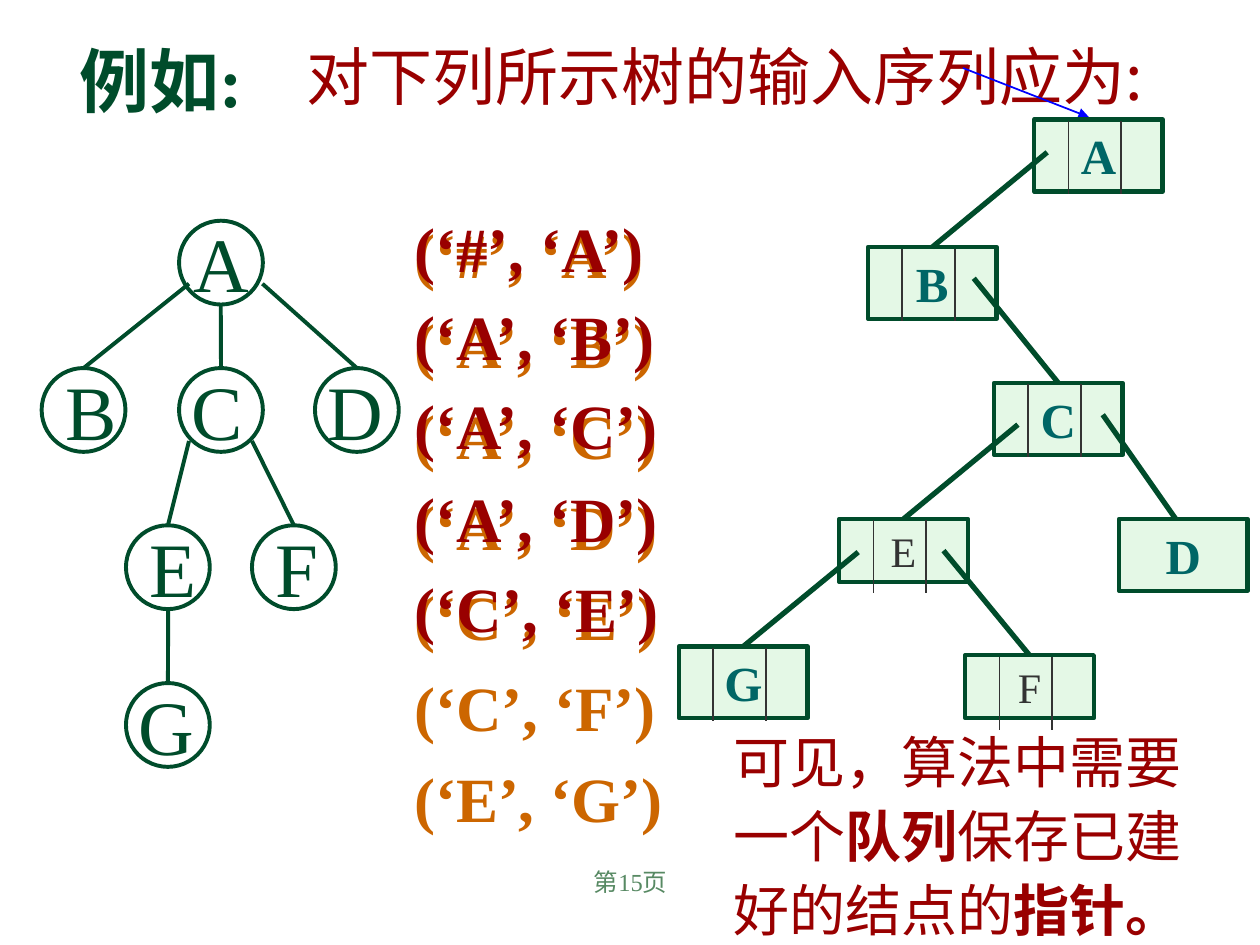
from lxml import etree
from pptx import Presentation
from pptx.dml.color import RGBColor
from pptx.enum.shapes import MSO_CONNECTOR, MSO_SHAPE
from pptx.enum.text import MSO_ANCHOR, MSO_AUTO_SIZE, PP_ALIGN
from pptx.oxml.ns import qn
from pptx.util import Cm, Pt

STRAIGHT = MSO_CONNECTOR.STRAIGHT
RECTANGLE = MSO_SHAPE.RECTANGLE
OVAL = MSO_SHAPE.OVAL
TOP = MSO_ANCHOR.TOP
FIT_SHAPE = MSO_AUTO_SIZE.SHAPE_TO_FIT_TEXT
LEFT = PP_ALIGN.LEFT
CENTER = PP_ALIGN.CENTER
TOP_SITE = 0

COLORS = {
    "green": "004C2B",
    "red": "990000",
    "orange": "CC6600",
    "teal": "006666",
    "gray": "333333",
    "blue": "0000FF",
    "mint": "CAF2CE",
    "footer": "578963",
}
LATIN_FONT = "Times New Roman"
CHINESE_FONT = "Noto Sans CJK SC"

CIRCLE_SIZE = 1.69
CIRCLES = {
    "A": (3.61, 4.45, 0.05, 1.63),
    "B": (0.84, 7.42, 0.23, 1.55),
    "C": (3.61, 7.42, 0, 1.55),
    "D": (6.35, 7.42, 0, 1.63),
    "E": (2.54, 10.59, 0.23, 1.45),
    "F": (5.08, 10.59, 0.23, 1.37),
    "G": (2.54, 13.77, 0, 1.63),
}
TREE_EDGES = [
    ("D", 5.29, 5.72),
    ("B", 3.81, 5.72),
    ("E", 3.81, 8.89),
    ("C", 4.45, 6.14),
    ("F", 5.08, 8.89),
    ("G", 3.39, 12.28),
]

BOX_WIDTH = 2.59
BOXES = {
    "A": (20.85, 2.41),
    "B": (17.5, 4.98),
    "C": (20.04, 7.72),
    "D": (22.56, 10.46),
    "E": (16.92, 10.46),
    "F": (19.46, 13.21),
    "G": (13.69, 13.03),
}
PLAIN_BOXES = "EF"
UNDIVIDED_BOXES = "D"
DIVIDER_OFFSETS = (0.69, 1.75)
POINTERS = [
    ("B", 21.11, 3.07),
    ("C", 19.63, 5.61),
    ("E", 20.52, 8.56),
    ("F", 19.02, 11.1),
    ("G", 17.3, 11.13),
]

PAIRS = ["(‘#’, ‘A’)", "(‘A’, ‘B’)", "(‘A’, ‘C’)", "(‘A’, ‘D’)",
         "(‘C’, ‘E’)", "(‘C’, ‘F’)", "(‘E’, ‘G’)"]
READ_PAIR_TOPS = (4.09, 5.87, 7.67, 9.55, 11.35)


class SlideBuilder:
    def __init__(self, slide):
        self.slide = slide

    def color(self, name):
        return RGBColor.from_string(COLORS[name])

    def format_run(self, run, size, color, bold=False, font=LATIN_FONT):
        run.font.name = font
        run.font.size = Pt(size)
        run.font.bold = bold
        run.font.color.rgb = self.color(color)
        east_asian = etree.SubElement(run.font._element, qn("a:ea"))
        east_asian.set("typeface", CHINESE_FONT)

    def text(self, left, top, width, height, paragraphs, size, color, bold=False,
             font=LATIN_FONT, align=LEFT, wrap=False, spacing=None, bold_runs=()):
        frame = self.slide.shapes.add_textbox(
            Cm(left), Cm(top), Cm(width), Cm(height)).text_frame
        frame.word_wrap = wrap
        frame.auto_size = FIT_SHAPE
        for index, runs in enumerate(paragraphs):
            paragraph = frame.add_paragraph() if index else frame.paragraphs[0]
            paragraph.alignment = align
            paragraph.line_spacing = spacing
            for words in runs:
                run = paragraph.add_run()
                run.text = words
                self.format_run(run, size, color, bold or words in bold_runs, font)

    def circle(self, left, top):
        shape = self.slide.shapes.add_shape(
            OVAL, Cm(left), Cm(top), Cm(CIRCLE_SIZE), Cm(CIRCLE_SIZE))
        shape.shadow.inherit = False
        shape.fill.background()
        shape.line.color.rgb = self.color("green")
        shape.line.width = Pt(2.25)
        return shape

    def box(self, left, top, label, plain):
        height = 1.27 if plain else 1.45
        shape = self.slide.shapes.add_shape(
            RECTANGLE, Cm(left), Cm(top), Cm(BOX_WIDTH), Cm(height))
        shape.shadow.inherit = False
        shape.fill.solid()
        shape.fill.fore_color.rgb = self.color("mint")
        fill_color = shape._element.spPr.find(qn("a:solidFill"))[0]
        etree.SubElement(fill_color, qn("a:alpha")).set("val", "50000")
        shape.line.color.rgb = self.color("green")
        shape.line.width = Pt(2.5)
        frame = shape.text_frame
        frame.text = label
        frame.vertical_anchor = TOP
        paragraph = frame.paragraphs[0]
        paragraph.alignment = CENTER
        if plain:
            self.format_run(paragraph.runs[0], 24, "gray")
        else:
            self.format_run(paragraph.runs[0], 28, "teal", True)
        return shape

    def line(self, start, end, color, width, target=None, arrow=False):
        connector = self.slide.shapes.add_connector(
            STRAIGHT, *(Cm(value) for value in (*start, *end)))
        if target is not None:
            connector.end_connect(target, TOP_SITE)
        connector.line.color.rgb = self.color(color)
        connector.line.width = Pt(width)
        properties = connector._element.spPr
        if arrow:
            outline = properties.find(qn("a:ln"))
            etree.SubElement(outline, qn("a:tailEnd")).set("type", "triangle")
        etree.SubElement(properties, qn("a:effectLst"))


def draw_tree(builder):
    circles = {}
    for label, (left, top, shift, width) in CIRCLES.items():
        circles[label] = builder.circle(left, top)
        builder.text(left + shift, top - 0.22, width, 2.13, [[label]], 44, "green")
    for child, x, y in TREE_EDGES:
        builder.line((x, y), CIRCLES[child][:2], "green", 2.25, circles[child])


def draw_linked_boxes(builder):
    builder.line((19.41, 1.37), (21.95, 2.36), "blue", 1, arrow=True)
    boxes = {}
    for label, (left, top) in BOXES.items():
        boxes[label] = builder.box(left, top, label, label in PLAIN_BOXES)
        if label not in UNDIVIDED_BOXES:
            for offset in DIVIDER_OFFSETS:
                x = left + offset
                builder.line((x, top + 0.03), (x, top + 1.5), "gray", 1)
    for child, x, y in POINTERS:
        builder.line((x, y), BOXES[child], "green", 3, boxes[child])
    builder.line((22.23, 8.36), (23.7, 10.46), "green", 3)


def main():
    presentation = Presentation()
    presentation.slide_width = Cm(25.4)
    presentation.slide_height = Cm(19.05)
    builder = SlideBuilder(presentation.slides.add_slide(presentation.slide_layouts[6]))

    builder.text(8.69, 17.35, 8.05, 1.27, [["第15页"]], 14, "footer",
                 align=CENTER, wrap=True)
    draw_tree(builder)
    builder.text(1.35, 0.64, 4.14, 1.96, [["例如:"]], 40, "green", True)
    builder.text(5.92, 0.64, 18.08, 1.78, [["对下列所示树的输入序列应为:"]], 36, "red",
                 font=CHINESE_FONT)
    builder.text(8.1, 3.91, 5.51, 13.06, [[pair] for pair in PAIRS], 36, "orange",
                 True, spacing=1.2)
    for pair, top in zip(PAIRS, READ_PAIR_TOPS):
        builder.text(8.1, top, 5.44, 1.78, [[pair]], 36, "red", True)
    builder.text(14.53, 14.4, 9.58, 4.72,
                 [["可见，算法中需要一个", "队列", "保存已建好的结点的", "指针。"]],
                 32, "red", wrap=True, spacing=1.1, bold_runs=("队列", "指针。"))
    draw_linked_boxes(builder)
    presentation.save("out.pptx")


if __name__ == "__main__":
    main()
